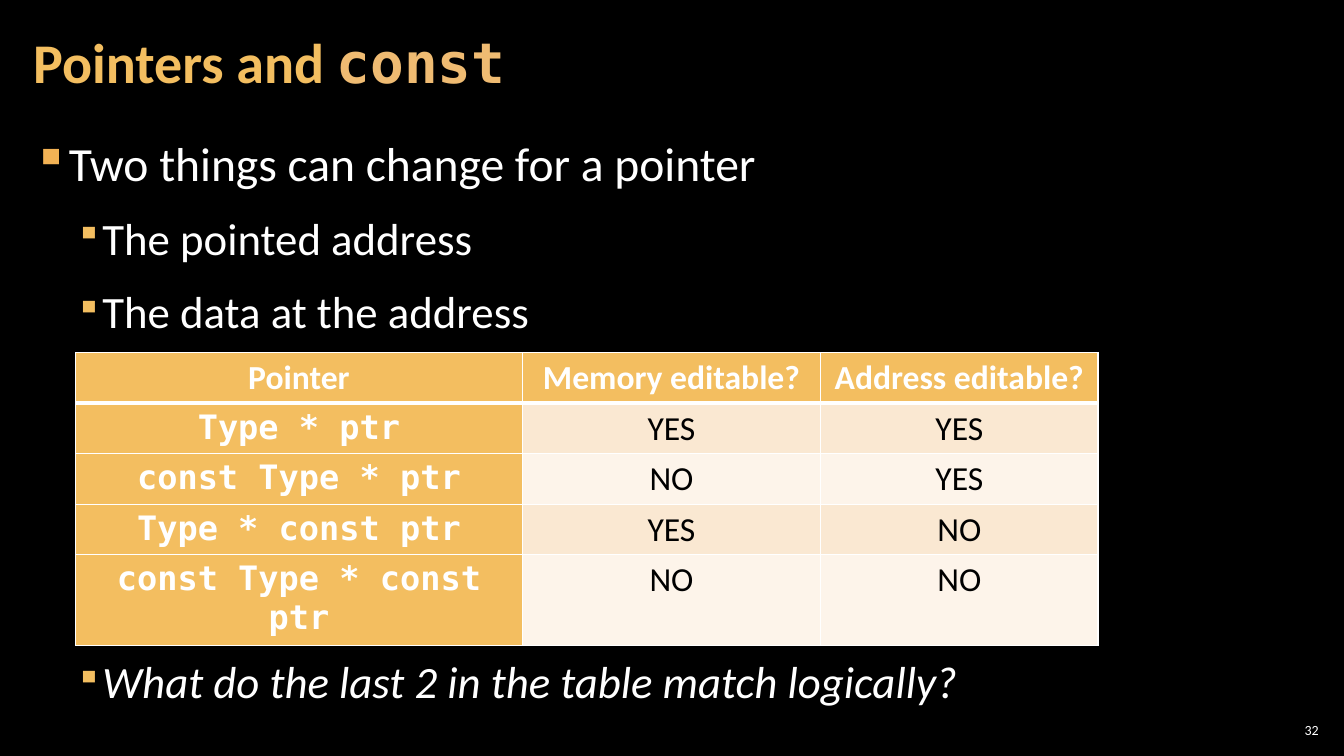
from lxml import etree
from pptx import Presentation, util as u
from pptx.dml.color import RGBColor
from pptx.enum import text
from pptx.oxml.ns import qn

COLORS = {
    "background": "000000", "white": "FFFFFF", "black": "000000",
    "gold": "F3BE60", "code": "EFBB72", "bullet": "F2B254",
    "band_dark": "FAE8D2", "band_light": "FDF4EA",
}
SANS, MONO = "Calibri", "DejaVu Sans Mono"

POINTS = [  # level, wording, extra format
    (0, "Two things can change for a pointer", {}),
    (1, "The pointed address", {}),
    (1, "The data at the address", {}),
    (1, "What do the last 2 in the table match logically?", {"italic": True}),
]
LEVELS = [  # size, left margin, hanging indent, bullet colour, bullet percent
    (34, 0.33, 0.33, "bullet", 100),
    (32, 0.67, 0.25, "gold", 80),
]
TABLE_GAP = 218  # points kept free for the table above the last bullet
EDITABLE = [
    ("Pointer", "Memory editable?", "Address editable?"),
    ("Type * ptr", "YES", "YES"),
    ("const Type * ptr", "NO", "YES"),
    ("Type * const ptr", "YES", "NO"),
    ("const Type * const ptr", "NO", "NO"),
]
COLUMN_WIDTHS = (4.43, 2.96, 2.75)
ROW_HEIGHTS = (0.5, 0.5, 0.5, 0.5, 0.87)


def rgb(name):
    return RGBColor.from_string(COLORS[name])


def add_run(paragraph, wording, color, **font_format):
    run = paragraph.add_run()
    run.text = wording
    run.font.color.rgb = rgb(color)
    for key, value in font_format.items():
        setattr(run.font, key, value)


def add_frame(slide, box, side=0.12, anchor=text.MSO_ANCHOR.TOP):
    frame = slide.shapes.add_textbox(*map(u.Inches, box)).text_frame
    settings = {
        "word_wrap": True, "vertical_anchor": anchor,
        "margin_left": u.Inches(side), "margin_right": u.Inches(side),
        "margin_top": u.Inches(0.04), "margin_bottom": u.Inches(0.04),
    }
    for key, value in settings.items():
        setattr(frame, key, value)
    return frame


def add_bullet(paragraph, margin, hanging, color, percent):
    props = paragraph._p.get_or_add_pPr()
    props.set("marL", str(u.Inches(margin)))
    props.set("indent", str(-u.Inches(hanging)))
    bullet_color = etree.SubElement(props, qn("a:buClr"))
    etree.SubElement(bullet_color, qn("a:srgbClr"), val=COLORS[color])
    etree.SubElement(props, qn("a:buSzPct"), val=str(percent * 1000))
    etree.SubElement(props, qn("a:buChar"), char="▪")


def add_border(cell, side, points):
    line = etree.SubElement(cell._tc.get_or_add_tcPr(), qn(f"a:ln{side}"),
                            w=str(u.Pt(points)))
    fill = etree.SubElement(line, qn("a:solidFill"))
    etree.SubElement(fill, qn("a:srgbClr"), val=COLORS["white"])


def add_title(slide, box):
    heading = add_frame(slide, box, anchor=text.MSO_ANCHOR.MIDDLE).paragraphs[0]
    heading.line_spacing = 0.9
    for wording, color, name in (("Pointers and ", "gold", SANS), ("const", "code", MONO)):
        add_run(heading, wording, color, name=name, size=u.Pt(40), bold=True)


def add_points(slide, box):
    body = add_frame(slide, box)
    for i, (level, wording, extra) in enumerate(POINTS):
        point = body.add_paragraph() if i else body.paragraphs[0]
        size, *bullet = LEVELS[level]
        is_last = i == len(POINTS) - 1
        spacing = {
            "level": level, "line_spacing": 1.05, "space_after": u.Pt(6),
            "space_before": u.Pt(TABLE_GAP if is_last else 6),
        }
        for key, value in spacing.items():
            setattr(point, key, value)
        add_bullet(point, *bullet)
        add_run(point, wording, "white", name=SANS, size=u.Pt(size), **extra)


def add_editable_table(slide, left, top):
    table = slide.shapes.add_table(
        len(ROW_HEIGHTS), len(COLUMN_WIDTHS), u.Inches(left), u.Inches(top),
        u.Inches(sum(COLUMN_WIDTHS)), u.Inches(sum(ROW_HEIGHTS))).table
    for column, width in zip(table.columns, COLUMN_WIDTHS):
        column.width = u.Inches(width)
    for r, (row, height) in enumerate(zip(table.rows, ROW_HEIGHTS)):
        row.height = u.Inches(height)
        for c, cell in enumerate(row.cells):
            is_heading = r == 0 or c == 0
            # Borders: a thick rule under the header row
            for side in "LRTB":
                under_header = (r, side) in ((0, "B"), (1, "T"))
                add_border(cell, side, 3 if under_header else 1)
            band = "band_dark" if r % 2 else "band_light"
            cell.fill.solid()
            cell.fill.fore_color.rgb = rgb("gold" if is_heading else band)
            # Wording: code in the first column
            entry = cell.text_frame.paragraphs[0]
            entry.alignment = text.PP_ALIGN.CENTER
            add_run(entry, EDITABLE[r][c], "white" if is_heading else "black",
                    name=MONO if r and c == 0 else SANS,
                    size=u.Pt(24), bold=is_heading)


def add_page_number(slide, box):
    number = add_frame(slide, box, 0.04, text.MSO_ANCHOR.MIDDLE).paragraphs[0]
    number.alignment = text.PP_ALIGN.RIGHT
    add_run(number, "32", "white", name=SANS, size=u.Pt(10))


def main():
    deck = Presentation()
    deck.slide_width, deck.slide_height = u.Inches(13.33), u.Inches(7.5)
    slide = deck.slides.add_slide(deck.slide_layouts[6])
    slide.background.fill.solid()
    slide.background.fill.fore_color.rgb = rgb("background")
    add_page_number(slide, (12.65, 7.14, 0.47, 0.21))
    add_points(slide, (0.21, 1.26, 12.91, 6.09))
    add_title(slide, (0.21, 0.04, 10.47, 1.21))
    add_editable_table(slide, 0.75, 3.5)
    deck.save("out.pptx")


if __name__ == "__main__":
    main()
